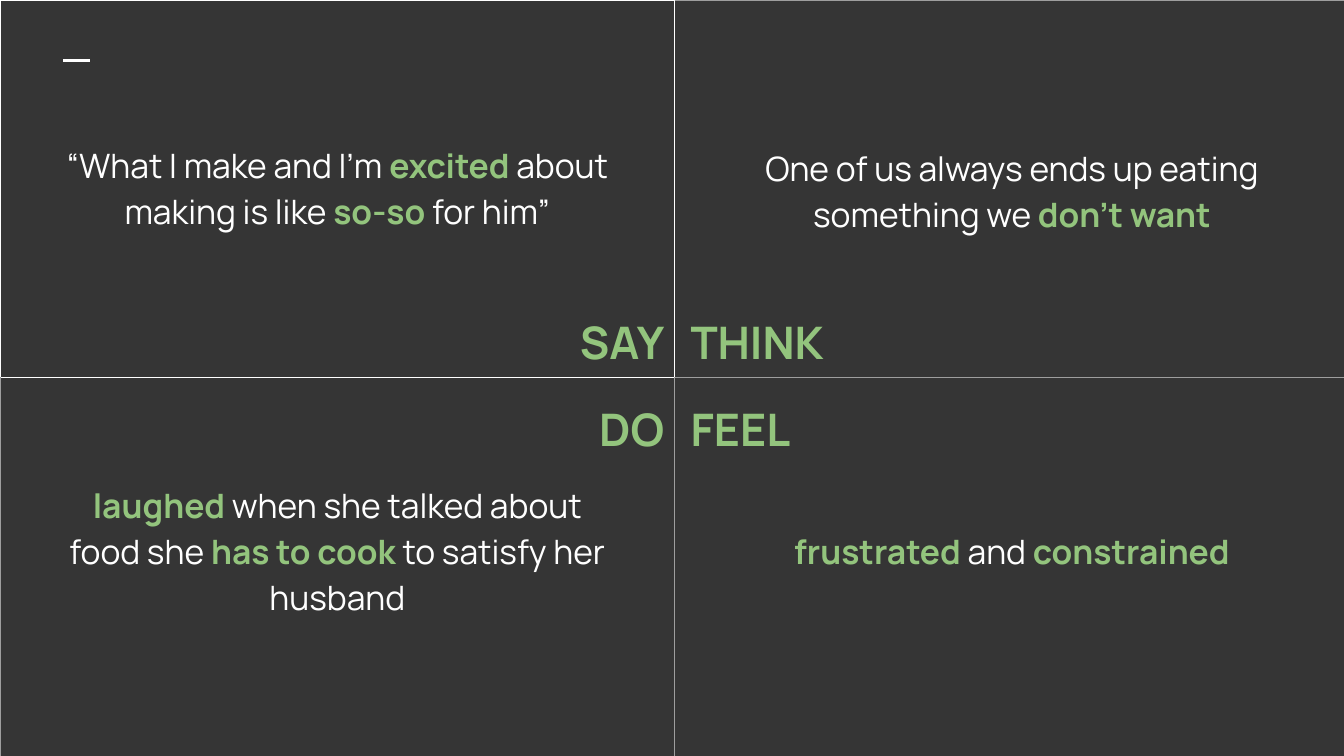
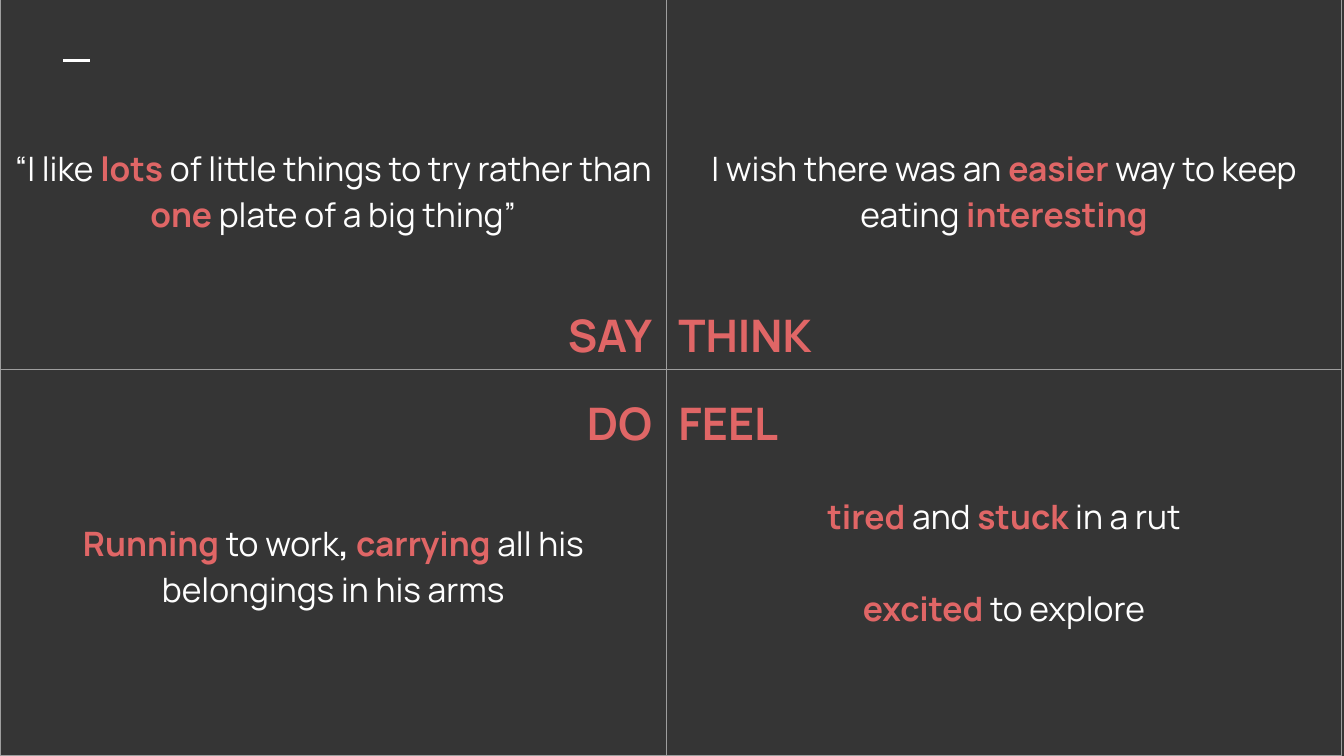
import pptx
import pptx.dml.color
import pptx.enum.shapes
import pptx.enum.text
import pptx.oxml.ns
import pptx.util
from lxml import etree
from pptx.util import Cm, Pt

RGBColor = pptx.dml.color.RGBColor
BACKGROUND = RGBColor(0x35, 0x35, 0x35)
WHITE = RGBColor(0xFF, 0xFF, 0xFF)
GREY = RGBColor(0x9E, 0x9E, 0x9E)
GREEN = RGBColor(0x93, 0xC4, 0x7D)
CORAL = RGBColor(0xE0, 0x66, 0x66)

FONT = "Manrope"
QUOTE_SIZE = 18
LABEL_SIZE = 24
LINE_HEIGHT = 0.87
INSET = 0.25
SIDES = ("L", "R", "T", "B")

LEFT = pptx.enum.text.PP_ALIGN.LEFT
CENTER = pptx.enum.text.PP_ALIGN.CENTER
RIGHT = pptx.enum.text.PP_ALIGN.RIGHT
TOP = pptx.enum.text.MSO_ANCHOR.TOP
MIDDLE = pptx.enum.text.MSO_ANCHOR.MIDDLE


def add_span(para, text, size=QUOTE_SIZE, colour=WHITE, bold=False):
    span = para.add_run()
    span.text = text
    span.font.name = FONT
    span.font.size = Pt(size)
    span.font.color.rgb = colour
    span.font.bold = bold


def add_dash(page):
    dash = page.shapes.add_connector(
        pptx.enum.shapes.MSO_CONNECTOR.STRAIGHT, Cm(1.2), Cm(1.15), Cm(1.7), Cm(1.15)
    )
    dash.line.color.rgb = WHITE
    dash.line.width = Pt(1.5)
    etree.SubElement(dash._element.spPr, pptx.oxml.ns.qn("a:effectLst"))


def add_table(page, left, top, columns, rows):
    frame = page.shapes.add_table(
        len(rows), len(columns), Cm(left), Cm(top), Cm(sum(columns)), Cm(sum(rows))
    )
    table = frame.table
    table.first_row = False
    table.horz_banding = False
    for column, width in zip(table.columns, columns):
        column.width = Cm(width)
    for row, height in zip(table.rows, rows):
        row.height = Cm(height)
    return table


def format_cell(cell, borders, anchor=TOP, lead=0):
    properties = cell._tc.get_or_add_tcPr()
    qn = pptx.oxml.ns.qn
    for side in SIDES:
        border = etree.SubElement(properties, qn("a:ln" + side), w=str(Pt(0.75)))
        colour = borders.get(side)
        if colour is None:
            etree.SubElement(border, qn("a:noFill"))
        else:
            fill = etree.SubElement(border, qn("a:solidFill"))
            etree.SubElement(fill, qn("a:srgbClr"), val=str(colour))
    cell.fill.background()
    cell.vertical_anchor = anchor
    cell.margin_left = cell.margin_right = cell.margin_bottom = Cm(INSET)
    cell.margin_top = Cm(INSET + lead * LINE_HEIGHT)


def fill_quadrant(cell, paragraphs, borders, anchor=TOP, lead=0, gap=0):
    format_cell(cell, borders, anchor, lead)
    for index, spans in enumerate(paragraphs):
        para = cell.text_frame.add_paragraph() if index else cell.text_frame.paragraphs[0]
        para.alignment = CENTER
        if index:
            para.space_before = Cm(gap * LINE_HEIGHT)
        for span in spans:
            if isinstance(span, str):
                add_span(para, span)
            else:
                text, colour = span
                add_span(para, text, colour=colour, bold=True)


def add_labels(page, left, top, columns, rows, colour):
    table = add_table(page, left, top, columns, rows)
    for index, label in enumerate(("SAY", "THINK", "DO", "FEEL")):
        row, column = divmod(index, 2)
        cell = table.cell(row, column)
        format_cell(cell, {})
        para = cell.text_frame.paragraphs[0]
        para.alignment = LEFT if column else RIGHT
        add_span(para, label, size=LABEL_SIZE, colour=colour, bold=True)


def add_page(deck):
    page = deck.slides.add_slide(deck.slide_layouts[6])
    add_dash(page)
    return page


def build_green_map(deck):
    page = add_page(deck)
    white = dict.fromkeys(SIDES, WHITE)
    grey = dict.fromkeys(SIDES, GREY)
    table = add_table(page, 0, 0, (12.75, 12.75), (7.14, 7.19))
    fill_quadrant(table.cell(0, 0), [[
        "“What I make and I’m ", ("excited", GREEN), " about making is like ",
        ("so-so", GREEN), " for him”",
    ]], white, anchor=MIDDLE)
    fill_quadrant(table.cell(0, 1), [[
        "One of us always ends up eating something we ", ("don’t want", GREEN),
    ]], {**grey, "L": WHITE}, anchor=MIDDLE, lead=0.14)
    fill_quadrant(table.cell(1, 0), [
        [("laughed", GREEN), " when she talked about"],
        ["food she ", ("has to cook", GREEN), " to satisfy her husband"],
    ], {**grey, "T": WHITE}, lead=2)
    fill_quadrant(table.cell(1, 1), [[
        ("frustrated ", GREEN), "and ", ("constrained", GREEN),
    ]], grey, lead=3)
    add_labels(page, 10.06, 5.64, (2.74, 3.15), (1.07, 1.35), GREEN)


def build_coral_map(deck):
    page = add_page(deck)
    grey = dict.fromkeys(SIDES, GREY)
    table = add_table(page, 0, -0.1, (12.6, 12.75), (7.09, 7.29))
    fill_quadrant(table.cell(0, 0), [[
        "“I like ", ("lots", CORAL), " of little things to try rather than ",
        ("one", CORAL), " plate of a big thing”",
    ]], grey, lead=3)
    fill_quadrant(table.cell(0, 1), [[
        "I wish there was an ", ("easier", CORAL), " way to keep eating ",
        ("interesting", CORAL),
    ]], grey, lead=3)
    fill_quadrant(table.cell(1, 0), [[
        ("Running ", CORAL), "to work", (",", WHITE), (" carrying ", CORAL),
        "all his belongings in his arms",
    ]], grey, lead=3)
    fill_quadrant(table.cell(1, 1), [
        [("tired ", CORAL), "and", (" stuck", CORAL), " in a rut"],
        [("excited", CORAL), " to explore"],
    ], grey, anchor=MIDDLE, gap=1)
    add_labels(page, 9.12, 5.51, (3.45, 3.53), (1.07, 1.07), CORAL)


def main():
    deck = pptx.Presentation()
    deck.slide_width = Cm(25.4)
    deck.slide_height = Cm(14.29)
    background = deck.slide_master.background.fill
    background.solid()
    background.fore_color.rgb = BACKGROUND
    build_green_map(deck)
    build_coral_map(deck)
    deck.save("out.pptx")


if __name__ == "__main__":
    main()
